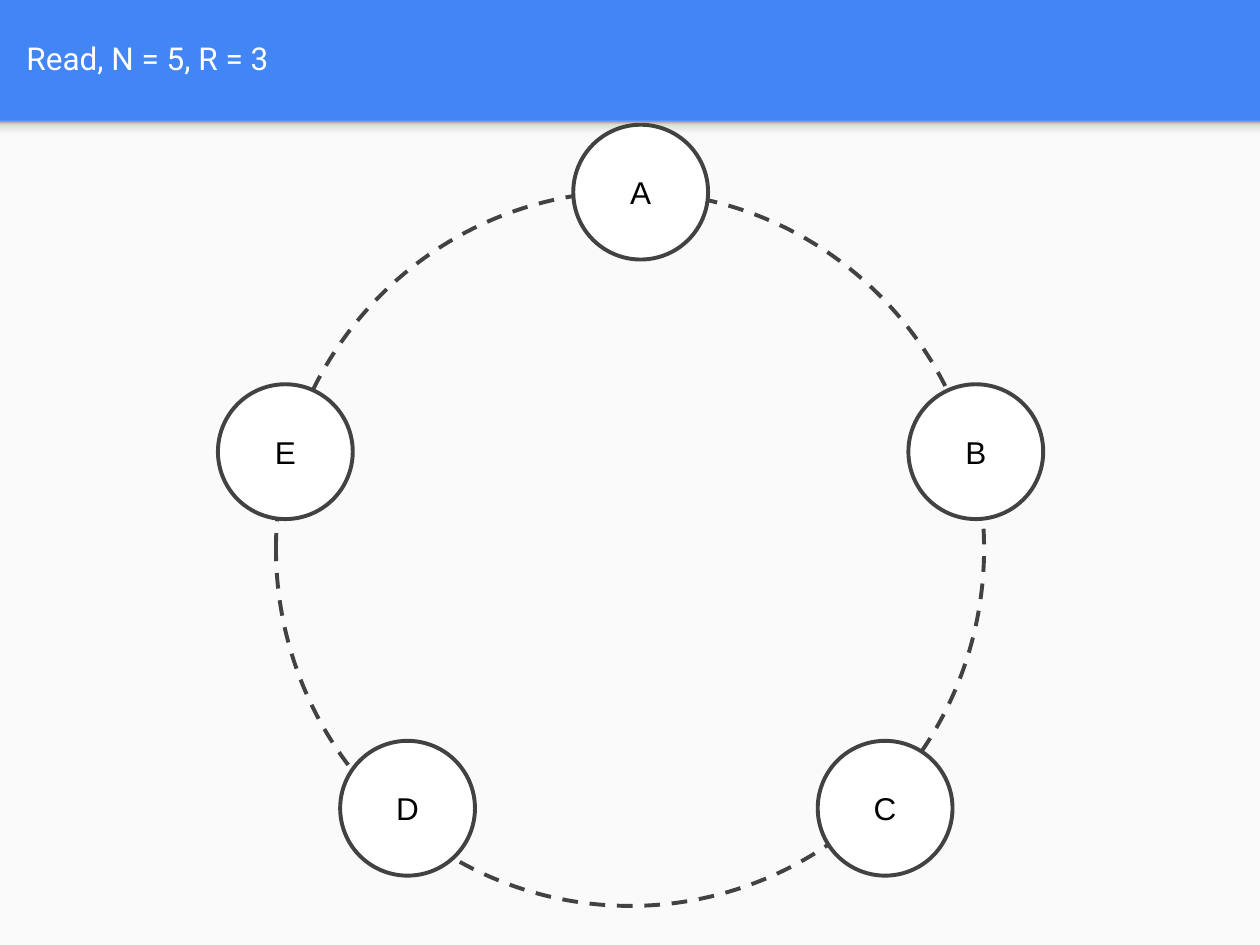
"""Build a slide showing a read quorum on a ring of five nodes."""
from copy import deepcopy

from pptx import Presentation
from pptx import util as u
from pptx.dml.color import RGBColor
from pptx.enum import dml, shapes, text
from pptx.oxml.ns import qn

WIDTH, HEIGHT, HEADER = 10, 7.5, 0.96
TITLE = "Read, N = 5, R = 3"
NODE_SIZE = 1.07
UPPER_ROW, LOWER_ROW = 3.05, 5.88
NODES = {
    "A": (4.55, 0.99),
    "B": (7.21, UPPER_ROW),
    "C": (6.49, LOWER_ROW),
    "D": (2.7, LOWER_ROW),
    "E": (1.73, UPPER_ROW),
}
RING = (2.19, 1.52, 5.62, 5.67)
SHADOW_STOPS = [(0, "F9F9F9"), (0.36, "F9F9F9"), (0.8, "DEDEDE"), (1, "999999")]
BLUE, PAPER, INK, WHITE, BLACK = "4285F4", "FAFAFA", "424242", "FFFFFF", "000000"


def paint(color_format, color):
    color_format.rgb = RGBColor.from_string(color)


def add_shape(slide, kind, box, fill=None, line=None):
    shape = slide.shapes.add_shape(kind, *map(u.Inches, box))
    shape.shadow.inherit = False
    if fill:
        shape.fill.solid()
        paint(shape.fill.fore_color, fill)
    else:
        shape.fill.background()
    if line:
        paint(shape.line.color, line)
        shape.line.width = u.Pt(2.25)
    else:
        shape.line.fill.background()
    return shape


def write(shape, words, font, color, alignment):
    frame = shape.text_frame
    frame.word_wrap = True
    frame.auto_size = text.MSO_AUTO_SIZE.NONE
    frame.vertical_anchor = text.MSO_ANCHOR.MIDDLE
    frame.margin_left = frame.margin_right = u.Inches(0.1)
    frame.margin_top = frame.margin_bottom = u.Inches(0.1)
    paragraph = frame.paragraphs[0]
    paragraph.alignment = alignment
    run = paragraph.add_run()
    run.text = words
    run.font.name = font
    run.font.size = u.Pt(18)
    paint(run.font.color, color)


def shade(shape, stops):
    shape.fill.gradient()
    shape.fill.gradient_angle = 90
    stop_list = next(shape.element.iter(qn("a:gsLst")))
    while len(stop_list) < len(stops):
        stop_list.append(deepcopy(stop_list[0]))
    for stop, (position, color) in zip(shape.fill.gradient_stops, stops):
        stop.position = position
        paint(stop.color, color)


presentation = Presentation()
presentation.slide_width = u.Inches(WIDTH)
presentation.slide_height = u.Inches(HEIGHT)
slide = presentation.slides.add_slide(presentation.slide_layouts[5])
slide.background.fill.solid()
paint(slide.background.fill.fore_color, BLUE)

title = slide.shapes.title
title.left, title.top, title.width, title.height = map(u.Inches, (0.11, 0.02, 9.65, 0.88))
write(title, TITLE, "Roboto", WHITE, text.PP_ALIGN.LEFT)

rectangle, oval = shapes.MSO_SHAPE.RECTANGLE, shapes.MSO_SHAPE.OVAL
add_shape(slide, rectangle, (0, HEADER, WIDTH, HEIGHT - HEADER), PAPER)
header_shadow = add_shape(slide, rectangle, (0, HEADER, WIDTH, 0.16))
shade(header_shadow, SHADOW_STOPS)

ring = add_shape(slide, oval, RING, line=INK)
ring.line.dash_style = dml.MSO_LINE.DASH
for name, corner in NODES.items():
    node = add_shape(slide, oval, (*corner, NODE_SIZE, NODE_SIZE), WHITE, INK)
    write(node, name, "Arial", BLACK, text.PP_ALIGN.CENTER)

presentation.save("out.pptx")
